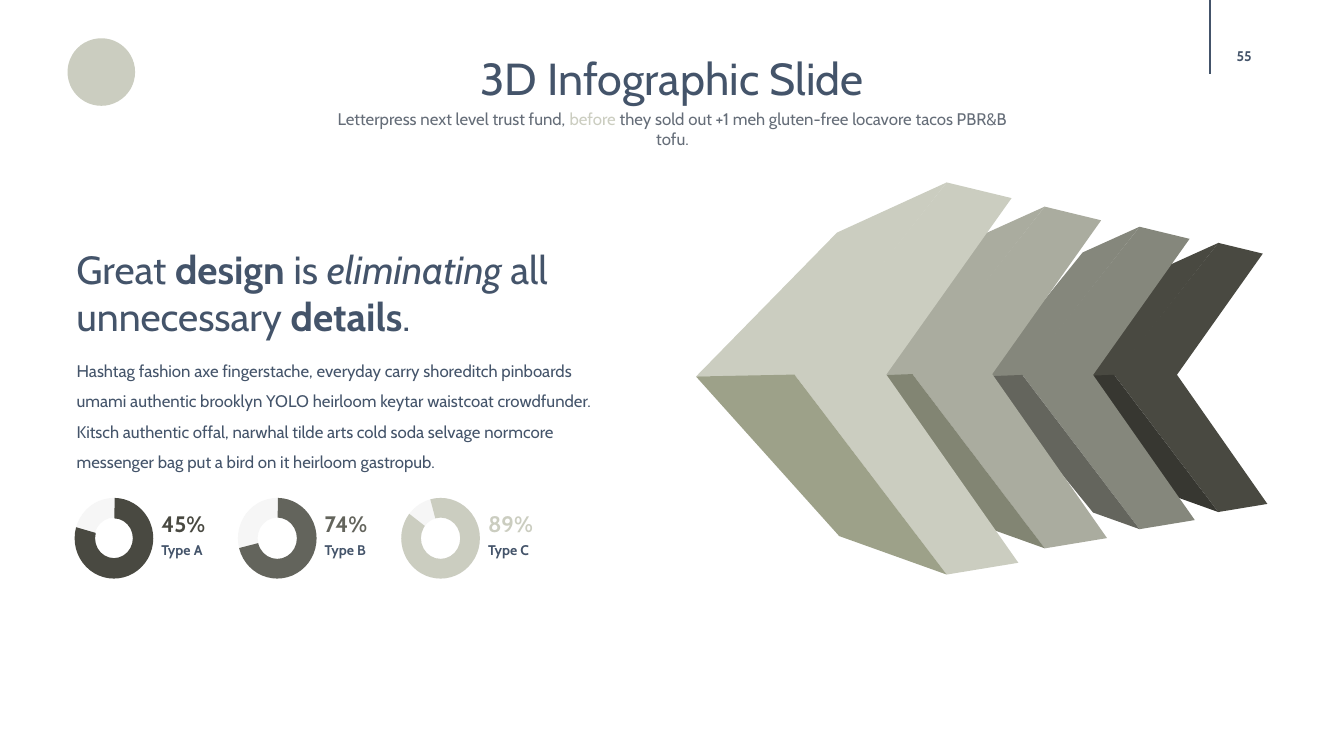
import pptx
import pptx.util
import pptx.dml.color
import pptx.enum.shapes
import pptx.enum.text
from lxml import etree

CELL = pptx.util.Inches(1)
COLS, ROWS = 13.33, 7.5
NAVY, GREY, SAND, PALE = "44546A", "656D78", "CBCDC0", "F6F6F6"
FONT = "Cabin"
SHAPE = pptx.enum.shapes.MSO_SHAPE
ALIGN = pptx.enum.text.PP_ALIGN
ANCHOR = pptx.enum.text.MSO_ANCHOR
DML = "{http://schemas.openxmlformats.org/drawingml/2006/main}"

SHORT = (0.23, 0.33, 0.085, 0.27, 0.055)
LONG = (0.44, 0.49, 0.128, 0.48, 0.098)
FACE = ((0.68, 0), (0, 0.49), (0.68, 1), (1, 0.97), (0.41, 0.49), (0.97, 0.04))
ARROWS = (
    ((11.05, 2.41, 1.52, 2.67), SHORT, "494941", "373731"),
    ((10.14, 2.25, 1.71, 3), SHORT, "85877C", "64655D"),
    ((9.05, 2.05, 1.93, 3.39), SHORT, "AAAC9F", "828573"),
    ((7.88, 1.81, 2.22, 3.89), LONG, SAND, "9DA189"),
)
GAUGES = (
    ("45%", "Type A", "494941", (162.64, 117.75, 0.26)),
    ("74%", "Type B", "63645C", (162.64, 99.36, 0.25)),
    ("89%", "Type C", SAND, (153.14, 130.79, 0.25)),
)


def emu(*cells):
    """Turn grid cells into whole slide units."""
    return [round(n * CELL) for n in cells]


def tint(part, color):
    """Apply a hex color to a fill or font."""
    if hasattr(part, "solid"):
        part.solid()
        part = part.fore_color
    else:
        part = part.color
    part.rgb = pptx.dml.color.RGBColor.from_string(color)


def paint(shape, color):
    """Give a shape a flat fill without line or shadow."""
    shape.shadow.inherit = False
    tint(shape.fill, color)
    shape.line.fill.background()
    return shape


def write(slide, box, *runs, holder=None, size=12, color=NAVY, bold=False,
          align=ALIGN.LEFT, anchor=ANCHOR.TOP, inset=True, spacing=1.0):
    """Set runs of text in a new box or a given placeholder."""
    shape = holder or slide.shapes.add_textbox(*emu(*box))
    shape.left, shape.top, shape.width, shape.height = emu(*box)
    frame = shape.text_frame
    frame.word_wrap = True
    frame.auto_size = pptx.enum.text.MSO_AUTO_SIZE.NONE
    frame.vertical_anchor = anchor
    side, edge = emu(0.1, 0.05) if inset else (0, 0)
    frame.margin_left = frame.margin_right = side
    frame.margin_top = frame.margin_bottom = edge
    para = frame.paragraphs[0]
    if holder:
        props = para._p.get_or_add_pPr()
        props.set("marL", "0")
        props.set("indent", "0")
        etree.SubElement(props, DML + "buNone")
    para.alignment = align
    para.line_spacing = spacing
    para.space_before = pptx.util.Pt(0)
    for item in runs:
        words, look = (item, {}) if isinstance(item, str) else item
        run = para.add_run()
        run.text = words
        run.font.name = FONT
        run.font.size = pptx.util.Pt(size)
        run.font.bold = look.get("bold", bold)
        run.font.italic = look.get("italic", False)
        tint(run.font, look.get("color", color))


def header(slide, box):
    """Place the badge, title, subtitle and page number."""
    x, y, w, h = box
    paint(slide.shapes.add_shape(SHAPE.OVAL, *emu(x + 0.67, y + 0.38, 0.67, 0.67)), SAND)
    rule = slide.shapes.add_connector(
        pptx.enum.shapes.MSO_CONNECTOR.STRAIGHT, *emu(x + 12, y, x + 12, y + 0.73))
    tint(rule.line, NAVY) if hasattr(rule.line, "solid") else tint(rule.line.fill, NAVY)
    rule.line.width = pptx.util.Pt(1)
    etree.SubElement(rule._element.spPr, DML + "effectLst")
    write(slide, (x + 11.94, y + 0.36, 0.8, 0.4), "55", size=10, bold=True,
          align=ALIGN.CENTER, anchor=ANCHOR.MIDDLE, inset=False)
    mid = x + w / 2
    write(slide, (mid - 4.13, y + 0.45, 8.26, 0.64), "3D Infographic Slide",
          holder=slide.shapes.title, size=32, align=ALIGN.CENTER)
    write(slide, (mid - 3.47, y + 1.03, 6.95, 0.5), "Letterpress next level trust fund, ",
          ("before", {"color": SAND}),
          " they sold out +1 meh gluten-free locavore tacos PBR&B tofu.",
          color=GREY, align=ALIGN.CENTER)


def plate(slide, points, color):
    """Draw one flat polygon through grid points."""
    start, *rest = [emu(*point) for point in points]
    build = slide.shapes.build_freeform(*start, scale=1.0)
    build.add_line_segments(rest, close=True)
    paint(build.convert_to_shape(), color)


def arrow(slide, box, depth, light, dark):
    """Draw a solid arrow whose front face fills the box."""
    x, y, w, h = box
    tip, top, drop, low, rise = depth
    upper = ((0.68, 0), (0.68 - top, drop), (-tip, 0.495), (0, 0.495))
    lower = ((-tip, 0.495), (0.68 - low, 1 - rise), (0.68, 1), (0, 0.49))
    for outline, color in ((FACE, light), (upper, light), (lower, dark)):
        plate(slide, [(x + w * u, y + h * v) for u, v in outline], color)


def gauge(slide, box, share, label, color, arc):
    """Draw a ring gauge with its value and label."""
    x, y, w, h = box
    paint(slide.shapes.add_shape(SHAPE.DONUT, *emu(*box)), PALE)
    ring = paint(slide.shapes.add_shape(SHAPE.BLOCK_ARC, *emu(*box)), color)
    for i, value in enumerate(arc):
        ring.adjustments[i] = value
    left = x + w + 0.08
    write(slide, (left, y + 0.15, 0.49, 0.29), share, size=16, color=color,
          bold=True, inset=False, spacing=0.9)
    write(slide, (left, y + 0.45, 0.49, 0.23), label, size=10,
          bold=True, inset=False, spacing=0.9)


def story(slide, box):
    """Place the heading, the paragraph and the row of gauges."""
    x, y, w, h = box
    strong = {"bold": True}
    write(slide, (x, y, w, 1.04), "Great ", ("design", strong), " is ",
          ("eliminating", {"italic": True}), " all unnecessary ",
          ("details", strong), ".", size=28)
    write(slide, (x, y + 1.05, 5.32, 1.31),
          "Hashtag fashion axe fingerstache, everyday carry shoreditch pinboards "
          "umami authentic brooklyn YOLO heirloom keytar waistcoat crowdfunder. "
          "Kitsch authentic offal, narwhal tilde arts cold soda selvage normcore "
          "messenger bag put a bird on it heirloom gastropub.",
          holder=slide.placeholders[1], spacing=1.5)
    for i, data in enumerate(GAUGES):
        gauge(slide, (x + 0.08 + 1.62 * i, y + 2.56, 0.78, 0.8), *data)


def main():
    """Build the slide and save it."""
    deck = pptx.Presentation()
    deck.slide_width, deck.slide_height = emu(COLS, ROWS)
    slide = deck.slides.add_slide(deck.slide_layouts[1])
    header(slide, (0, 0, COLS, 1.6))
    for data in ARROWS:
        arrow(slide, *data)
    story(slide, (0.66, 2.38, 5.46, 3.36))
    deck.save("out.pptx")


if __name__ == "__main__":
    main()
